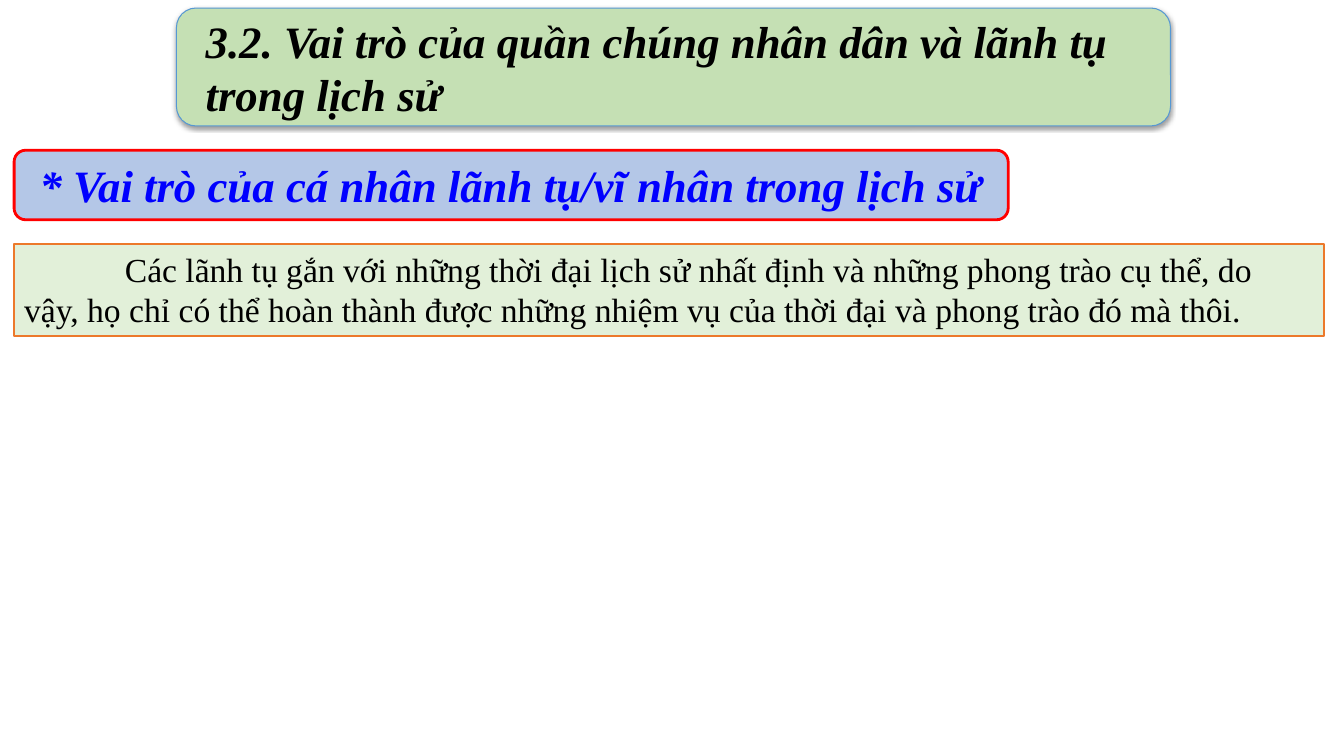
from lxml import etree
from pptx import Presentation
from pptx.dml.color import RGBColor
from pptx.enum.shapes import MSO_SHAPE
from pptx.enum.text import MSO_ANCHOR, PP_ALIGN
from pptx.oxml.ns import qn
from pptx.util import Inches, Pt

RECTANGLE, ROUNDED = MSO_SHAPE.RECTANGLE, MSO_SHAPE.ROUNDED_RECTANGLE
TOP, MIDDLE = MSO_ANCHOR.TOP, MSO_ANCHOR.MIDDLE
LEFT, CENTER = PP_ALIGN.LEFT, PP_ALIGN.CENTER

HEADING = "3.2. Vai trò của quần chúng nhân dân và lãnh tụ trong lịch sử"
SUBHEADING = "* Vai trò của cá nhân lãnh tụ/vĩ nhân trong lịch sử"
BODY = (
    "Các lãnh tụ gắn với những thời đại lịch sử nhất định và những phong trào cụ thể, "
    "do vậy, họ chỉ có thể hoàn thành được những nhiệm vụ của thời đại và phong trào đó mà thôi."
)

THEME = {
    "font": "Times New Roman",
    "title_size": 32, "body_size": 24,
    "black": "000000", "blue": "0000FF", "red": "FF0000",
    "heading_fill": "C5E0B4", "heading_line": "5698D3",
    "subheading_fill": "B4C7E7",
    "body_fill": "E2F0D9", "body_line": "EC792B",
}
TITLE_FONT = {"name": THEME["font"], "size": Pt(THEME["title_size"]), "bold": True, "italic": True}
BODY_FONT = {"name": THEME["font"], "size": Pt(THEME["body_size"]), "bold": False, "italic": False}

MARGIN = 0.14
BANNER_WIDTH = 9.86
HEADING_BOX = (1.75, 0.08, BANNER_WIDTH, 1.17)
HEADING_PADDING = 0.06
SUBHEADING_BOX = (MARGIN, 1.49, BANNER_WIDTH, 0.69)
BODY_BOX = (MARGIN, 2.42, 12.99, 0.91)


def add_box(shapes, kind, box, fill, line=None, width=0):
    shape = shapes.add_shape(kind, *map(Inches, box))
    shape.shadow.inherit = False
    shape.fill.solid()
    shape.fill.fore_color.rgb = RGBColor.from_string(fill)
    if line:
        shape.line.color.rgb = RGBColor.from_string(line)
        shape.line.width = Pt(width)
    else:
        shape.line.fill.background()
    return shape


def write(shape, text, font, color, anchor=MIDDLE, alignment=LEFT, frame_format=None):
    frame = shape.text_frame
    frame_values = {"word_wrap": True, "vertical_anchor": anchor, **(frame_format or {})}
    for name, value in frame_values.items():
        setattr(frame, name, value)
    paragraph = frame.paragraphs[0]
    paragraph.alignment = alignment
    run = paragraph.add_run()
    run.text = text
    for name, value in font.items():
        setattr(run.font, name, value)
    run.font.color.rgb = RGBColor.from_string(color)
    return paragraph


def add_shadow(shape):
    """Give the shape a soft shadow that falls straight down."""
    effects = shape._element.spPr.find(qn("a:effectLst"))
    shadow = etree.SubElement(
        effects, qn("a:outerShdw"), blurRad=str(Pt(3.1)), dist=str(Pt(1.6)),
        dir="5400000", rotWithShape="0")
    color = etree.SubElement(shadow, qn("a:srgbClr"), val=THEME["black"])
    etree.SubElement(color, qn("a:alpha"), val="38000")


def add_heading(slide):
    group = slide.shapes.add_group_shape()
    left, top, width, height = HEADING_BOX
    banner = add_box(group.shapes, ROUNDED, HEADING_BOX,
                     THEME["heading_fill"], THEME["heading_line"], 0.75)
    add_shadow(banner)
    label_box = (left + HEADING_PADDING, top + HEADING_PADDING,
                 width - 2 * HEADING_PADDING, height - 2 * HEADING_PADDING)
    label = add_box(group.shapes, RECTANGLE, label_box, THEME["heading_fill"])
    insets = {"margin_left": Inches(0.23), "margin_right": Inches(0.23),
              "margin_top": 0, "margin_bottom": 0}
    write(label, HEADING, TITLE_FONT, THEME["black"], frame_format=insets)


def main():
    presentation = Presentation()
    presentation.slide_width, presentation.slide_height = Inches(13.33), Inches(7.5)
    slide = presentation.slides.add_slide(presentation.slide_layouts[6])

    add_heading(slide)

    body = add_box(slide.shapes, RECTANGLE, BODY_BOX, THEME["body_fill"], THEME["body_line"], 1.5)
    paragraph = write(body, BODY, BODY_FONT, THEME["black"], anchor=TOP)
    paragraph._p.get_or_add_pPr().set("indent", str(Inches(1)))

    subheading = add_box(slide.shapes, ROUNDED, SUBHEADING_BOX,
                         THEME["subheading_fill"], THEME["red"], 2)
    write(subheading, SUBHEADING, TITLE_FONT, THEME["blue"], alignment=CENTER)

    presentation.save("out.pptx")


if __name__ == "__main__":
    main()
